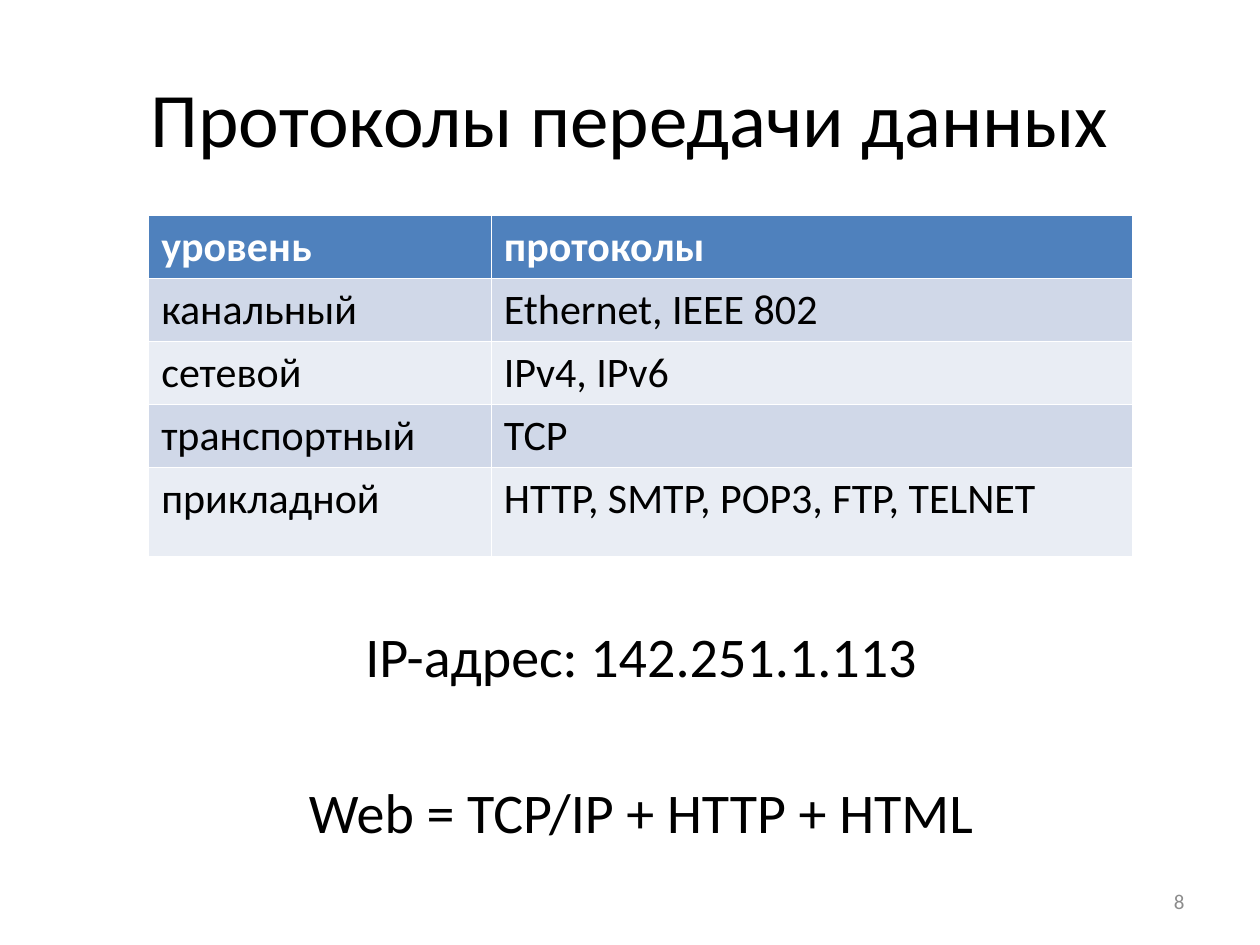
from lxml import etree
from pptx import Presentation
from pptx.dml.color import RGBColor
from pptx.enum import text
from pptx.oxml.ns import qn
from pptx.util import Inches, Pt

COLORS = {
    "ink": "000000",
    "white": "FFFFFF",
    "gray": "8C8C8C",
    "head": "4F81BD",
    "dark": "D0D8E8",
    "light": "E9EDF4",
}
ROWS = [
    ("уровень", "протоколы"),
    ("канальный", "Ethernet, IEEE 802"),
    ("сетевой", "IPv4, IPv6"),
    ("транспортный", "TCP"),
    ("прикладной", "HTTP, SMTP, POP3, FTP, TELNET"),
]
ALIGN = text.PP_ALIGN
MIDDLE = text.MSO_ANCHOR.MIDDLE


class Deck:
    font = "Calibri"

    def __init__(self, slide):
        self.slide = slide

    def color(self, name):
        return RGBColor.from_string(COLORS[name])

    def place(self, shape, box):
        shape.left, shape.top, shape.width, shape.height = map(Inches, box)

    def add_run(self, para, words, size, color="ink", align=None, bold=False):
        para.alignment = align
        run = para.add_run()
        run.text = words
        font = run.font
        font.name, font.size, font.bold = self.font, Pt(size), bold
        font.color.rgb = self.color(color)

    def title(self, words, box):
        shape = self.slide.shapes.title
        self.place(shape, box)
        shape.text_frame.vertical_anchor = MIDDLE
        self.add_run(shape.text_frame.paragraphs[0], words, 44, align=ALIGN.CENTER)

    def body(self, lines, box, gap):
        """Fill the body with centred, unbulleted lines, gap points apart."""
        shape = self.slide.placeholders[1]
        self.place(shape, box)
        frame = shape.text_frame
        for i, line in enumerate(lines):
            para = frame.add_paragraph() if i else frame.paragraphs[0]
            self.add_run(para, line, 32, align=ALIGN.CENTER)
            if i:
                para.space_before = Pt(gap)
            props = para._p.get_or_add_pPr()
            props.set("marL", "0")
            props.set("indent", "0")
            etree.SubElement(props, qn("a:buNone"))

    def number(self, words, box):
        frame = self.slide.shapes.add_textbox(*map(Inches, box)).text_frame
        frame.word_wrap = True
        frame.vertical_anchor = MIDDLE
        self.add_run(frame.paragraphs[0], words, 12, "gray", ALIGN.RIGHT)

    def table(self, rows, box, widths, heights):
        grid = self.slide.shapes.add_table(
            len(rows), len(widths), *map(Inches, box)).table
        for col, width in zip(grid.columns, widths):
            col.width = Inches(width)
        for r, (row, height) in enumerate(zip(rows, heights)):
            grid.rows[r].height = Inches(height)
            fill = "head" if r == 0 else "dark" if r % 2 else "light"
            for c, words in enumerate(row):
                cell = grid.cell(r, c)
                cell.fill.solid()
                cell.fill.fore_color.rgb = self.color(fill)
                self.add_run(cell.text_frame.paragraphs[0], words, 24,
                             "ink" if r else "white", bold=r == 0)


def main():
    prs = Presentation()
    prs.slide_width, prs.slide_height = Inches(10), Inches(7.5)
    deck = Deck(prs.slides.add_slide(prs.slide_layouts[1]))
    deck.title("Протоколы передачи данных", (0.5, 0.3, 9, 1.25))
    deck.body(["IP-адрес: 142.251.1.113", "Web = TCP/IP + HTTP + HTML"],
              (0.68, 4.88, 8.82, 1.82), gap=51)
    deck.number("8", (7.17, 6.95, 2.33, 0.4))
    deck.table(ROWS, (1.18, 1.71, 7.81, 2.71), (2.72, 5.09), [0.5] * 4 + [0.71])
    prs.save("out.pptx")


if __name__ == "__main__":
    main()
